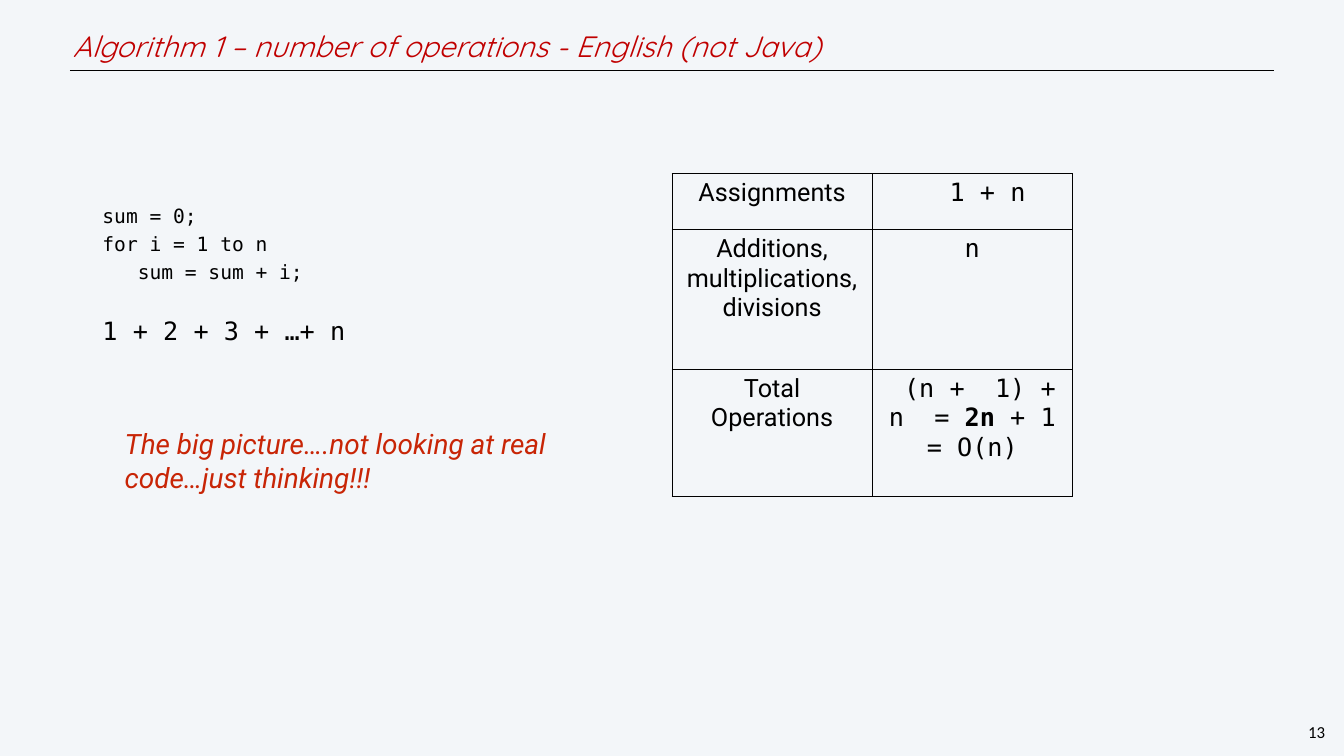
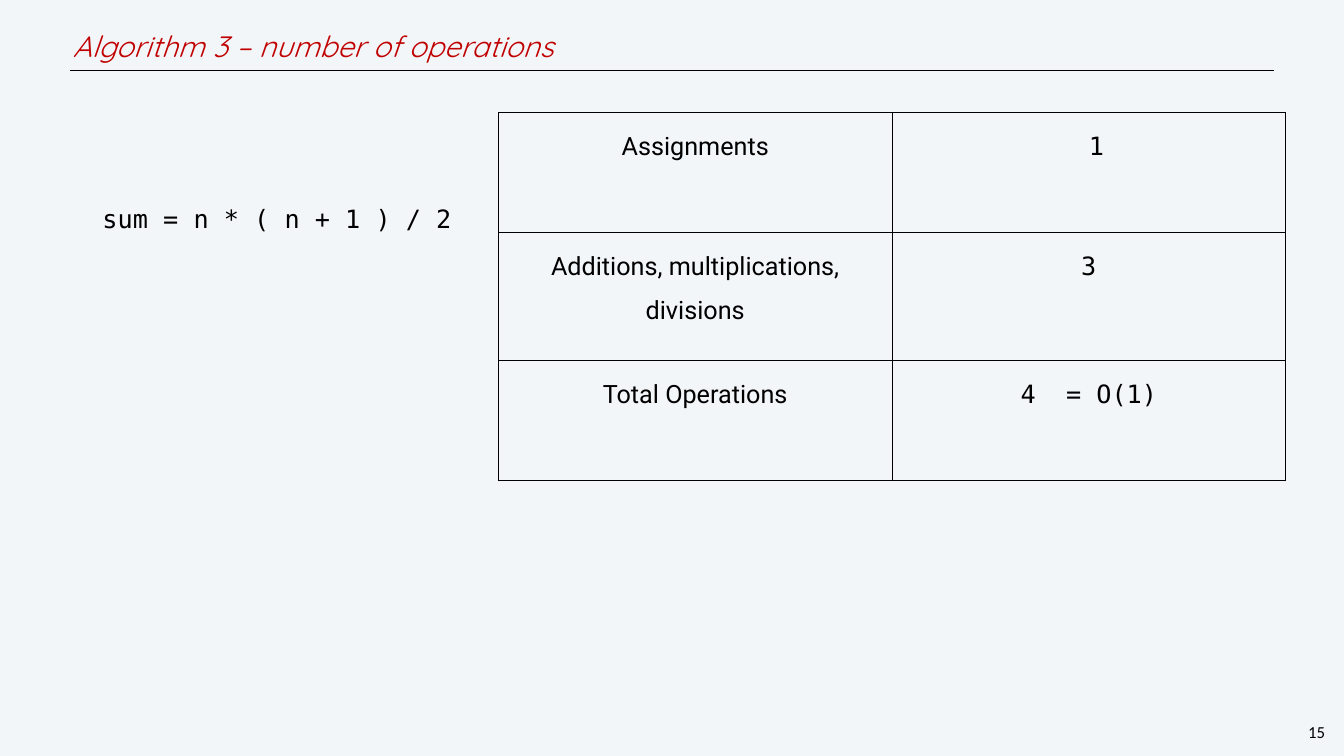
from pptx import Presentation
from pptx.dml.color import RGBColor
from pptx.enum.text import MSO_ANCHOR, PP_ALIGN
from pptx.oxml import parse_xml
from pptx.oxml.ns import nsdecls
from pptx.oxml.xmlchemy import OxmlElement
from pptx.util import Pt

PAPER = RGBColor(0xF3, 0xF6, 0xF9)
BLACK = RGBColor(0x00, 0x00, 0x00)
RED = RGBColor(0xC0, 0x00, 0x00)
RUST = RGBColor(0xC8, 0x25, 0x06)

TITLE = dict(name="Quicksand", size=Pt(42), italic=True, color=RED)
PAGE = dict(name="Calibri", size=Pt(24), color=BLACK)
LABEL = dict(name="Roboto", size=Pt(36), color=BLACK)
NOTE = dict(name="Roboto", size=Pt(40), italic=True, color=RUST)
MATH = dict(name="DejaVu Sans Mono", size=Pt(36), color=BLACK)
CODE = {**MATH, "size": Pt(28)}
STRONG = {**MATH, "bold": True}

CHAR = 21.7  # width of one MATH character in points


def put(item, values):
    for key, value in values.items():
        if key == "color":
            item.color.rgb = value
        else:
            setattr(item, key, value)


def write(frame, paras, **shared):
    """Fill a frame from (runs, settings) pairs; each run is (text, style)."""
    for i, (runs, own) in enumerate(paras):
        para = frame.paragraphs[0] if i == 0 else frame.add_paragraph()
        values = {**shared, **own}
        indent = values.pop("indent", None)
        put(para, values)
        if indent:
            para._p.get_or_add_pPr().set("indent", str(Pt(indent)))
        for text, style in runs:
            run = para.add_run()
            run.text = text
            put(run.font, style)


def line(text, style, **own):
    return [(text, style)], own


class Deck:
    def __init__(self):
        self.prs = Presentation()
        self.prs.slide_width, self.prs.slide_height = Pt(1920), Pt(1080)
        self.slide = None

    def start(self, title, page):
        """Add a slide with its background, rule, title and page number."""
        self.slide = self.prs.slides.add_slide(self.prs.slide_layouts[6])
        fill = self.slide.background.fill
        fill.solid()
        fill.fore_color.rgb = PAPER
        self.rule(100, 1820, 101)
        self.text((100, 30, 1629, 71), [line(title, TITLE)], pad=(4, 4),
                  anchor=MSO_ANCHOR.MIDDLE, line_spacing=Pt(50))
        self.text((1863, 1029, 36, 35), [line(page, PAGE)], pad=(3, 3), wrap=False,
                  alignment=PP_ALIGN.CENTER, line_spacing=Pt(28))

    def rule(self, left, right, y):
        rule = self.slide.shapes.add_connector(1, Pt(left), Pt(y), Pt(right), Pt(y))
        rule.line.color.rgb = BLACK
        rule.line.width = Pt(1)
        rule._element.spPr.append(OxmlElement("a:effectLst"))

    def text(self, box, paras, pad, anchor=MSO_ANCHOR.TOP, wrap=True, **shared):
        frame = self.slide.shapes.add_textbox(*map(Pt, box)).text_frame
        side, top = map(Pt, pad)
        put(frame, dict(margin_left=side, margin_right=side, margin_top=top,
                        margin_bottom=top, vertical_anchor=anchor, word_wrap=wrap))
        write(frame, paras, **shared)

    def body(self, width, paras):
        self.text((132, 287.5, width, 685), paras, pad=(14.4, 7.2), line_spacing=0.9)

    def table(self, left, top, width, heights, answers, **shared):
        """Draw the operation counts: labels on the left, answers on the right."""
        labels = ("Assignments", "Additions, multiplications, divisions",
                  "Total Operations")
        table = self.slide.shapes.add_table(
            len(labels), 2, Pt(left), Pt(top), Pt(2 * width), Pt(sum(heights))).table
        put(table, dict(first_row=False, horz_banding=False))
        for col in table.columns:
            col.width = Pt(width)
        for row, height, label, answer in zip(table.rows, heights, labels, answers):
            row.height = Pt(height)
            for cell, paras in zip(row.cells, ([line(label, LABEL)], answer)):
                put(cell, dict(margin_left=Pt(14.4), margin_right=Pt(14.4),
                               margin_top=Pt(7.2), margin_bottom=Pt(7.2)))
                self.edge(cell)
                cell.fill.background()
                write(cell.text_frame, paras, alignment=PP_ALIGN.CENTER, **shared)

    def edge(self, cell):
        for side in ("lnL", "lnR", "lnT", "lnB"):
            cell._tc.get_or_add_tcPr().append(parse_xml(
                f'<a:{side} {nsdecls("a")} w="{Pt(1)}"><a:solidFill>'
                f'<a:srgbClr val="{BLACK}"/></a:solidFill></a:{side}>'))


def main():
    deck = Deck()

    deck.start("Algorithm 1 – number of operations - English (not Java)", "13")
    deck.body(500, [
        line("sum = 0;", CODE),
        line("for i = 1 to n", CODE, space_before=Pt(10)),
        line("   sum = sum + i;", CODE, space_before=Pt(10)),
        line("1 + 2 + 3 + …+ n", MATH, space_before=Pt(49.5)),
    ])
    total = [("(n +  1) + n  =", MATH), (" 2n ", STRONG), ("+ 1", MATH)]
    deck.table(960, 247.7, 286, (80, 199.5, 182.5), (
        [line("1 + n", MATH, indent=2 * CHAR)],
        [line("n", MATH)],
        [(total, dict(indent=CHAR)), line("= O(n)", MATH)],
    ))
    deck.text((174, 605, 721, 105),
              [line("The big picture….not looking at real code…just thinking!!!", NOTE)],
              pad=(4, 4), anchor=MSO_ANCHOR.MIDDLE)

    deck.start("Algorithm 3 – number of operations", "15")
    deck.body(564, [line("sum = n * ( n + 1 ) / 2", MATH)])
    deck.table(712, 160.5, 562.3, (171.5, 182.5, 171.5), (
        [line("1", MATH, indent=CHAR)],
        [line("3", MATH)],
        [line("4  = O(1)", MATH)],
    ), line_spacing=1.5)

    deck.prs.save("out.pptx")


if __name__ == "__main__":
    main()
